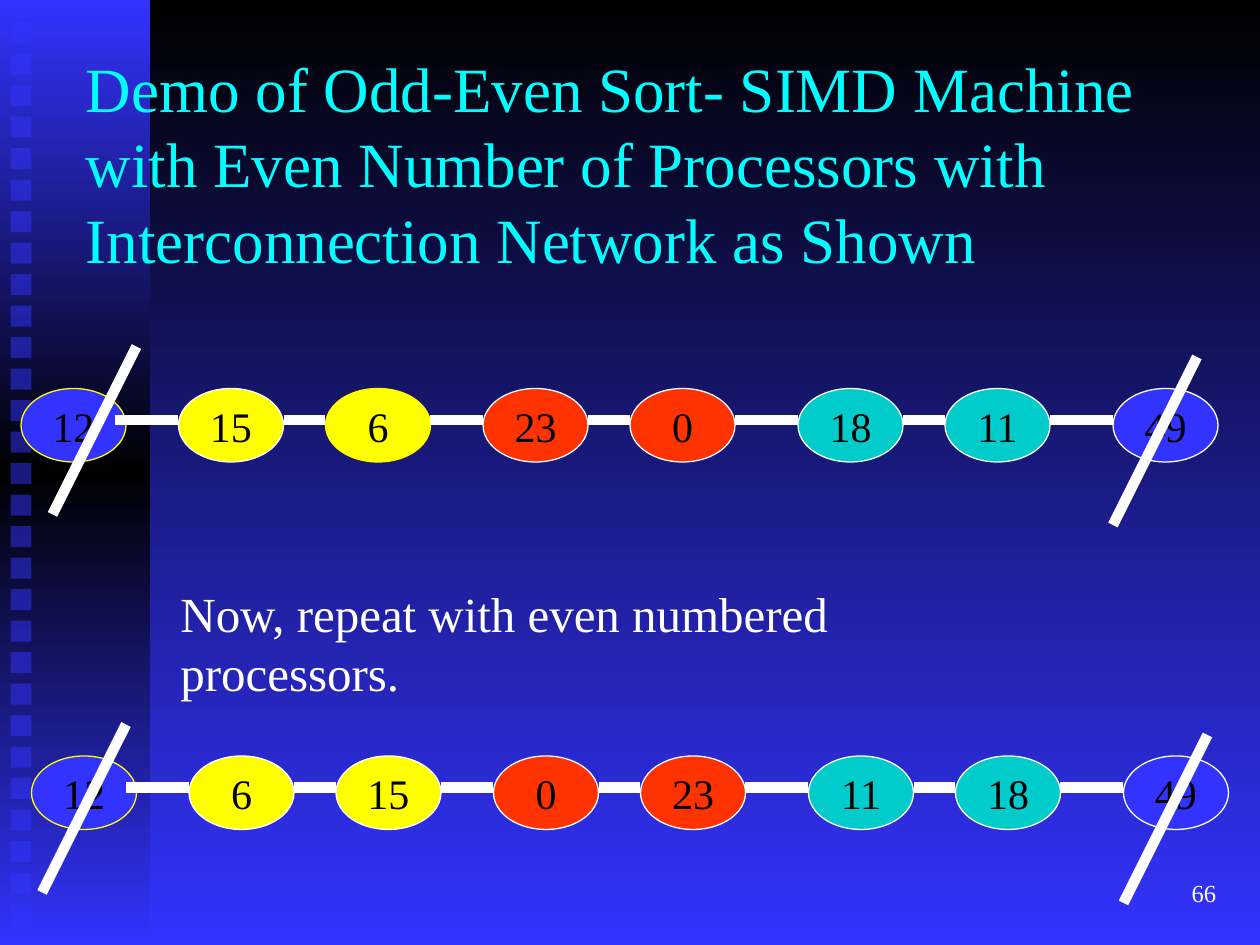
from copy import deepcopy
from dataclasses import dataclass
from itertools import pairwise

from pptx import Presentation
from pptx.dml.color import RGBColor
from pptx.enum.shapes import MSO_CONNECTOR as Link, MSO_SHAPE as Shape
from pptx.enum.text import MSO_ANCHOR as Anchor, PP_ALIGN as Align
from pptx.oxml.ns import qn
from pptx.oxml.xmlchemy import OxmlElement
from pptx.util import Inches, Pt

BLACK, WHITE, BLUE = "000000", "FFFFFF", "3333FF"
YELLOW, RED, TEAL, CYAN = "FFFF00", "FF3300", "00CCCC", "00FFFF"
NODE_COLUMNS = [2, 17, 31, 46, 60, 76, 90, 106]
NODE_FILLS = [BLUE, YELLOW, YELLOW, RED, RED, TEAL, TEAL, BLUE]
NODE_WIDTH, NODE_HEIGHT = 10, 7


def color(code):
    return RGBColor.from_string(code)


def assign(target, values):
    for name, value in values.items():
        setattr(target, name, value)


@dataclass
class Painter:
    page: object
    font: str = "Times New Roman"
    per_inch: int = 12

    def grid(self, *cells):
        return [Inches(cell / self.per_inch) for cell in cells]

    def gradient(self, fill, codes):
        fill.gradient()
        fill.gradient_angle = 270
        for stop, code in zip(fill.gradient_stops, codes):
            stop.color.rgb = color(code)

    def background(self, codes):
        self.gradient(self.page.background.fill, codes)

    def shape(self, kind, cells, fill=None, line=None):
        item = self.page.shapes.add_shape(kind, *self.grid(*cells))
        item.shadow.inherit = False
        if fill:
            item.fill.solid()
            item.fill.fore_color.rgb = color(fill)
        if line:
            item.line.color.rgb = color(line)
            item.line.width = Pt(0.75)
        else:
            item.line.fill.background()
        return item

    def panel(self, cells, outer, middle):
        item = self.shape(Shape.RECTANGLE, cells)
        self.gradient(item.fill, [outer, outer])
        first = item._element.xpath(".//a:gsLst/a:gs")[0]
        first.addnext(deepcopy(first))
        stop = item.fill.gradient_stops[1]
        stop.position = 0.5
        stop.color.rgb = color(middle)

    def square(self, cells, fill):
        item = self.shape(Shape.RECTANGLE, cells, fill)
        alpha = OxmlElement("a:alpha")
        alpha.set("val", "50000")
        item._element.spPr.find(qn("a:solidFill"))[0].append(alpha)

    def label(self, item, text, size, ink, frame_format, para_format):
        assign(item.text_frame, frame_format)
        para = item.text_frame.paragraphs[0]
        assign(para, para_format)
        span = para.add_run()
        span.text = text
        assign(span.font, {"name": self.font, "size": Pt(size)})
        span.font.color.rgb = color(ink)

    def text(self, cells, text, size, ink, anchor=Anchor.TOP, align=Align.LEFT):
        box = self.page.shapes.add_textbox(*self.grid(*cells))
        self.label(box, text, size, ink,
                   {"word_wrap": True, "vertical_anchor": anchor},
                   {"alignment": align, "line_spacing": Pt(size * 1.2)})

    def node(self, column, row, text, fill, line):
        item = self.shape(Shape.OVAL, (column, row, NODE_WIDTH, NODE_HEIGHT), fill, line)
        self.label(item, text, 24, BLACK,
                   {"word_wrap": False, "vertical_anchor": Anchor.MIDDLE},
                   {"alignment": Align.CENTER})

    def line(self, *ends):
        item = self.page.shapes.add_connector(Link.STRAIGHT, *self.grid(*ends))
        item.line.color.rgb = color(WHITE)
        item.line.width = Pt(6)
        item._element.spPr.append(OxmlElement("a:effectLst"))

    def network(self, shift, row, values, outlines):
        columns = [column + shift for column in NODE_COLUMNS]
        for column, value, fill, outline in zip(columns, values, NODE_FILLS, outlines):
            self.node(column, row, value, fill, outline)
        for index, (left, right) in enumerate(pairwise(columns)):
            overlap = 1 if index == 0 else 0
            self.line(left + NODE_WIDTH - overlap, row + 3, right, row + 3)

    def slash(self, column, row):
        self.line(column, row, column - 8, row + 16)


def main():
    deck = Presentation()
    assign(deck, {"slide_width": Inches(10), "slide_height": Inches(7.5)})
    painter = Painter(deck.slides.add_slide(deck.slide_layouts[6]))

    painter.background([BLACK, BLUE])
    painter.panel((0, 0, 14.3, 90), BLUE, BLACK)
    for index in range(29):
        painter.square((1, 2.1 + 3 * index, 2, 2), BLUE)

    painter.text((7, 8, 110, 15),
                 "Demo of Odd-Even Sort- SIMD Machine with Even Number of "
                 "Processors with Interconnection Network as Shown",
                 36, CYAN, Anchor.MIDDLE)
    painter.text((16, 55, 82, 12.5), "Now, repeat with even numbered processors.", 28, WHITE)

    painter.network(0, 37, ["12", "15", "6", "23", "0", "18", "11", "49"],
                    [YELLOW, WHITE, YELLOW] + [WHITE] * 5)
    painter.network(1, 72, ["12", "6", "15", "0", "23", "11", "18", "49"],
                    [YELLOW] + [WHITE] * 7)
    for column, row in [(13, 33), (114, 34), (115, 70), (12, 69)]:
        painter.slash(column, row)

    painter.text((92, 82, 25, 6), "66", 14, WHITE, Anchor.MIDDLE, Align.RIGHT)
    deck.save("out.pptx")


if __name__ == "__main__":
    main()
